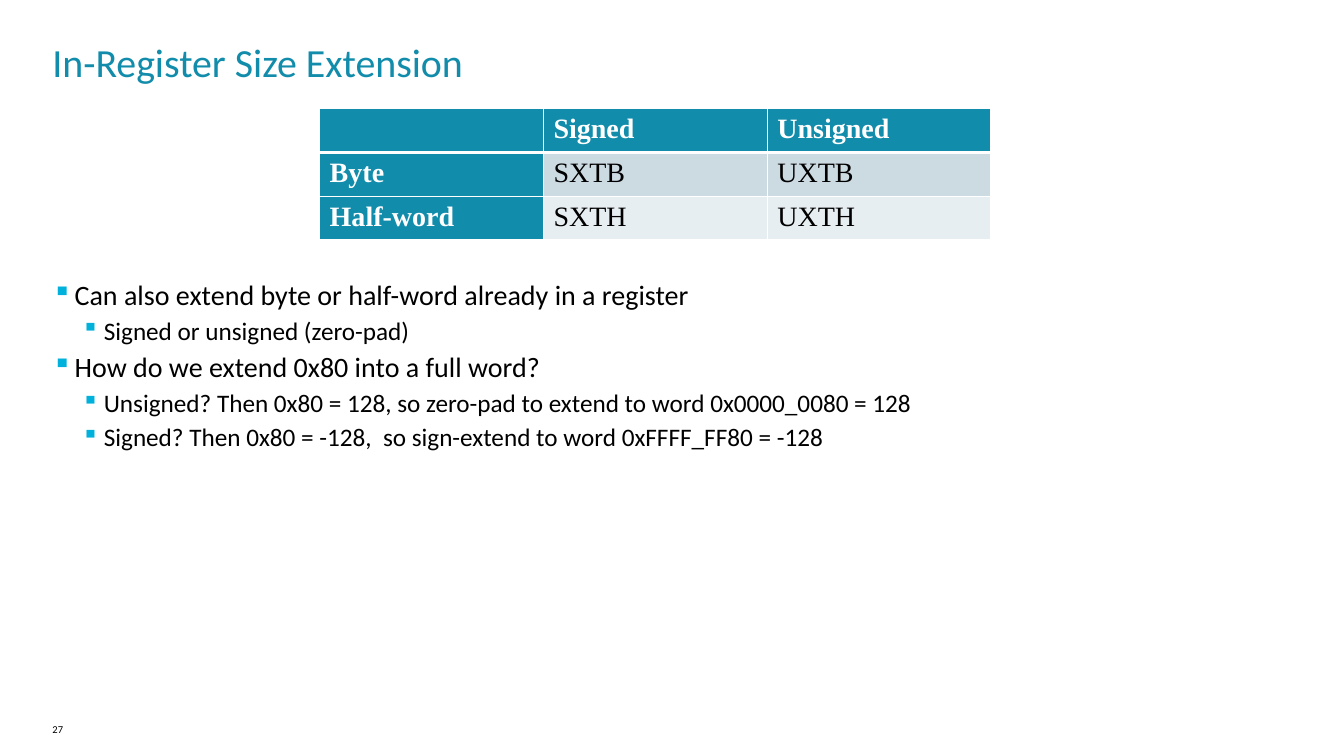
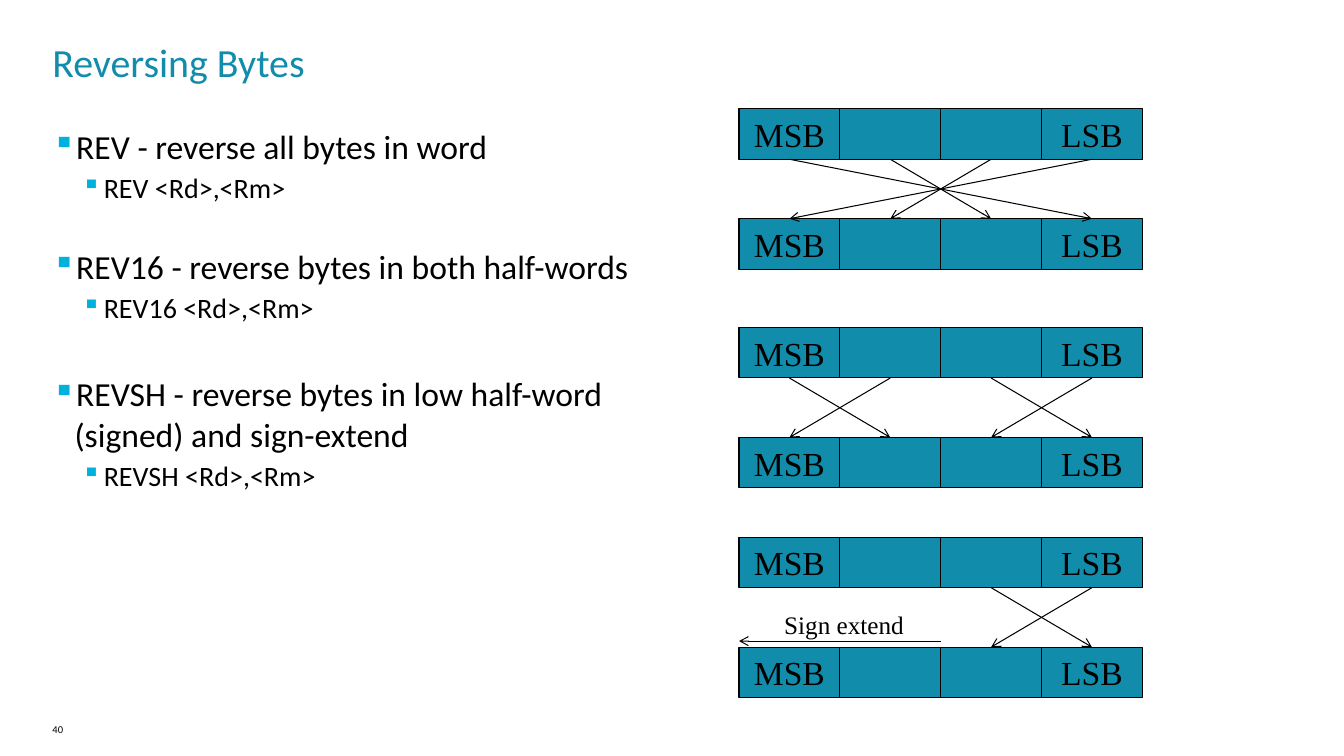
from lxml import etree
from pptx import Presentation
from pptx.dml.color import RGBColor
from pptx.enum.shapes import MSO_CONNECTOR, MSO_SHAPE
from pptx.enum.text import MSO_ANCHOR, MSO_AUTO_SIZE, PP_ALIGN
from pptx.oxml.ns import qn
from pptx.util import Inches, Pt

RECTANGLE = MSO_SHAPE.RECTANGLE
STRAIGHT = MSO_CONNECTOR.STRAIGHT
MIDDLE = MSO_ANCHOR.MIDDLE
CENTER = PP_ALIGN.CENTER
FIT_SHAPE = MSO_AUTO_SIZE.SHAPE_TO_FIT_TEXT
TOP_SIDE, BOTTOM_SIDE = 0, 2

TEAL, CYAN, BLACK, WHITE = "128CAB", "00B1DB", "000000", "FFFFFF"
TABLE_BANDS = ("CCDAE2", "E7EEF1")
SANS, SERIF = "Calibri", "Times New Roman"
MARGIN = 0.52
BULLET_INDENTS = (0.22, 0.51)
HANGING = 0.22
BYTE_WIDTH, BYTE_HEIGHT = 1, 0.5
WORD_LEFT, WORD_STEP = 7.33, 1.09


def color(value):
    return RGBColor.from_string(value)


def add_element(parent, tag, **attributes):
    return etree.SubElement(parent, qn(tag), attributes)


class Deck:
    """Holds the shared style and draws elements on the current slide."""

    def __init__(self):
        self.presentation = Presentation()
        self.presentation.slide_width = Inches(13.33)
        self.presentation.slide_height = Inches(7.5)
        self.slide = None

    def start_slide(self, title, number):
        layout = self.presentation.slide_layouts[6]
        self.slide = self.presentation.slides.add_slide(layout)
        self.text(number, MARGIN, 7.17, 1.43, 0.26, 7.5)
        self.text(title, MARGIN, 0.37, 12.21, 0.63, 28.5, TEAL)

    def format(self, paragraph, size, font, fill=BLACK, bold=False):
        for run in paragraph.runs:
            run.font.size = Pt(size)
            run.font.name = font
            run.font.bold = bold
            run.font.color.rgb = color(fill)

    def frame(self, left, top, width, height):
        box = self.slide.shapes.add_textbox(
            Inches(left), Inches(top), Inches(width), Inches(height))
        frame = box.text_frame
        frame.word_wrap = True
        frame.margin_left = frame.margin_right = 0
        frame.margin_top = frame.margin_bottom = 0
        return frame

    def text(self, text, left, top, width, height, size, fill=BLACK, font=SANS):
        frame = self.frame(left, top, width, height)
        frame.text = text
        self.format(frame.paragraphs[0], size, font, fill)
        return frame

    def bullets(self, items, top, width, height, sizes):
        frame = self.frame(MARGIN, top, width, height)
        for index, (level, text, space) in enumerate(items):
            paragraph = frame.add_paragraph() if index else frame.paragraphs[0]
            paragraph.text = text
            paragraph.level = level
            paragraph.space_before = Pt(space)
            self.format(paragraph, sizes[level], SANS)
            properties = paragraph._p.get_or_add_pPr()
            properties.set("marL", str(Inches(BULLET_INDENTS[level])))
            properties.set("indent", str(-Inches(HANGING)))
            bullet_color = add_element(properties, "a:buClr")
            add_element(bullet_color, "a:srgbClr", val=CYAN)
            add_element(properties, "a:buSzPct", val="95000")
            add_element(properties, "a:buChar", char="▪")

    def cell_borders(self, cell, widths):
        properties = cell._tc.get_or_add_tcPr()
        for index, (side, width) in enumerate(widths.items()):
            line = etree.Element(qn(f"a:ln{side}"), w=str(Pt(width)))
            fill = add_element(line, "a:solidFill")
            add_element(fill, "a:srgbClr", val=WHITE)
            properties.insert(index, line)

    def table(self, rows, left, top, column_width, row_height):
        shape = self.slide.shapes.add_table(
            len(rows), len(rows[0]), Inches(left), Inches(top),
            Inches(column_width * len(rows[0])), Inches(row_height * len(rows)))
        for row_index, row in enumerate(rows):
            for column_index, text in enumerate(row):
                cell = shape.table.cell(row_index, column_index)
                heading = row_index == 0 or column_index == 0
                cell.text = text
                self.format(cell.text_frame.paragraphs[0], 20, SERIF,
                            WHITE if heading else BLACK, heading)
                cell.fill.solid()
                cell.fill.fore_color.rgb = color(
                    TEAL if heading else TABLE_BANDS[row_index - 1])
                self.cell_borders(cell, {
                    "L": 1, "R": 1,
                    "T": 3 if row_index == 1 else 1,
                    "B": 3 if row_index == 0 else 1})

    def word(self, top):
        cells = []
        for index, text in enumerate(("MSB", "", "", "LSB")):
            cell = self.slide.shapes.add_shape(
                RECTANGLE, Inches(WORD_LEFT + index * BYTE_WIDTH), Inches(top),
                Inches(BYTE_WIDTH), Inches(BYTE_HEIGHT))
            cell.shadow.inherit = False
            cell.fill.solid()
            cell.fill.fore_color.rgb = color(TEAL)
            cell.line.color.rgb = color(BLACK)
            cell.line.width = Pt(0.75)
            if text:
                cell.text_frame.text = text
                cell.text_frame.vertical_anchor = MIDDLE
                paragraph = cell.text_frame.paragraphs[0]
                paragraph.alignment = CENTER
                self.format(paragraph, 24, SERIF)
            cells.append(cell)
        return cells

    def arrow(self, start=(0, 0), end=(0, 0)):
        connector = self.slide.shapes.add_connector(
            STRAIGHT, *(Inches(value) for value in (*start, *end)))
        connector.line.color.rgb = color(BLACK)
        connector.line.width = Pt(0.75)
        add_element(connector.line._get_or_add_ln(), "a:tailEnd", type="arrow")
        add_element(connector._element.spPr, "a:effectLst")
        return connector

    def byte_swap(self, top, moves):
        source = self.word(top)
        target = self.word(top + WORD_STEP)
        for start, end in moves:
            connector = self.arrow()
            connector.begin_connect(source[start], BOTTOM_SIDE)
            connector.end_connect(target[end], TOP_SIDE)

    def label(self, text, left, top, width, height):
        frame = self.text(text, left, top, width, height, 18, font=SERIF)
        frame.margin_left = frame.margin_right = Inches(0.1)
        frame.margin_top = frame.margin_bottom = Inches(0.05)
        frame.word_wrap = False
        frame.auto_size = FIT_SHAPE


def build_size_extension(deck):
    deck.start_slide("In-Register Size Extension", "27")
    deck.bullets([
        (0, "Can also extend byte or half-word already in a register", 3),
        (1, "Signed or unsigned (zero-pad)", 3),
        (0, "How do we extend 0x80 into a full word?", 3),
        (1, "Unsigned? Then 0x80 = 128, so zero-pad to extend to word 0x0000_0080 = 128", 3),
        (1, "Signed? Then 0x80 = -128,  so sign-extend to word 0xFFFF_FF80 = -128", 3),
    ], 2.75, 12.21, 3.94, (20, 18))
    deck.table([
        ("", "Signed", "Unsigned"),
        ("Byte", "SXTB", "UXTB"),
        ("Half-word", "SXTH", "UXTH"),
    ], 3.17, 1.08, 2.22, 0.41)


def build_reversing_bytes(deck):
    deck.start_slide("Reversing Bytes", "40")
    deck.bullets([
        (0, "REV - reverse all bytes in word", 3),
        (1, "REV <Rd>,<Rm>", 3),
        (0, "REV16 - reverse bytes in both half-words", 30),
        (1, "REV16 <Rd>,<Rm>", 3),
        (0, "REVSH - reverse bytes in low half-word (signed) and sign-extend", 35),
        (1, "REVSH <Rd>,<Rm>", 3),
    ], 1.25, 6.23, 6.25, (24, 20))
    low_half = [(2, 3), (3, 2)]
    deck.byte_swap(1.08, [(index, 3 - index) for index in range(4)])
    deck.byte_swap(3.25, [(0, 1), (1, 0)] + low_half)
    deck.byte_swap(5.33, low_half)
    deck.arrow((WORD_LEFT + 2 * BYTE_WIDTH, 6.36), (WORD_LEFT, 6.36))
    deck.label("Sign extend", 7.68, 6, 1.4, 0.4)


def main():
    deck = Deck()
    build_size_extension(deck)
    build_reversing_bytes(deck)
    deck.presentation.save("out.pptx")


if __name__ == "__main__":
    main()
